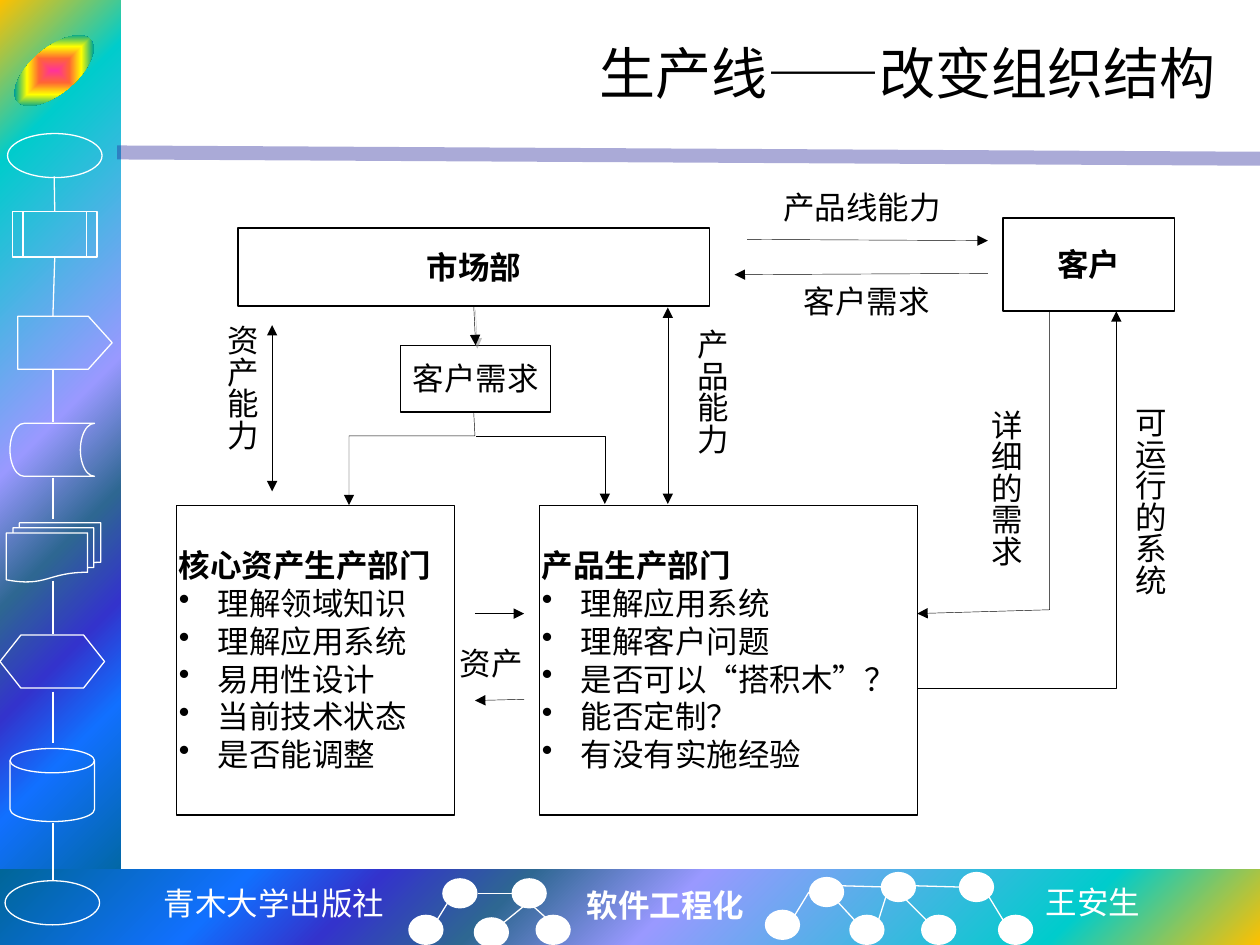
from pptx import Presentation
from pptx import util as u
from pptx.dml.color import RGBColor
from pptx.enum import shapes, text
from pptx.oxml import parse_xml
from pptx.oxml.ns import nsdecls, qn

SHAPE, ALIGN = shapes.MSO_SHAPE, text.PP_ALIGN

THEME = {
    "black": "000000", "white": "FFFFFF", "rule": "262699", "shadow": "808080",
    "serif": "Times New Roman", "sans": "Calibri", "mono": "Noto Sans Mono",
    "cjk": "Noto Sans CJK SC", "title": 32, "body": 18,
    "outline": 0.75, "arrow": 0.25, "rule_width": 8,
    "band": [(0, "FFC000"), (16, "00CCCC"), (47, "9999FF"), (60, "2E6792"),
             (71, "3333CC"), (81, "1170FF"), (100, "006699")],
    "emblem": [(0, "FF3399"), (25, "FF6633"), (50, "FFFF00"), (75, "01A78F"), (100, "3366FF")],
}
TIGHT = (0.02, 0, 0.02, 0.01)
LOOSE = (0.1, 0.05, 0.1, 0.05)

# Frame: gradient bands as place, focus (left, top, right, bottom)
BANDS = [((0, 0, 0.96, 7.09), (0, 0, 100, 100)), ((0, 6.9, 10, 0.6), (100, 100, 0, 0))]
FOOTER = [
    ("青木大学出版社", (1.19, 6.97, 1.97, 0.4), {"font": "mono", "align": ALIGN.CENTER}),
    ("软件工程化", (4.56, 6.98, 1.46, 0.4), {"bold": True}),
    ("王安生", (8.2, 6.96, 0.96, 0.4), {"font": "cjk"}),
]
FLOW_SHAPES = {
    "start": (SHAPE.OVAL, (0.06, 1.06, 0.75, 0.35)),
    "process": (SHAPE.FLOWCHART_PREDEFINED_PROCESS, (0.1, 1.68, 0.67, 0.36)),
    "signal": (SHAPE.PENTAGON, (0.14, 2.51, 0.75, 0.42)),
    "storage": (SHAPE.FLOWCHART_STORED_DATA, (0.08, 3.36, 0.67, 0.42)),
    "documents": (SHAPE.FLOWCHART_MULTIDOCUMENT, (0.05, 4.15, 0.75, 0.47)),
    "preparation": (SHAPE.FLOWCHART_PREPARATION, (0, 5.04, 0.83, 0.42)),
    "disk": (SHAPE.FLOWCHART_MAGNETIC_DISK, (0.08, 5.94, 0.67, 0.58)),
    "end": (SHAPE.OVAL, (0.04, 6.99, 0.75, 0.35)),
}
FLOW_X = 0.42
FLOW_GAPS = [(2.93, 3.35), (3.79, 4.12), (4.61, 5.03), (5.49, 5.9), (6.53, 6.99)]
NODE_SIZE = (0.28, 0.24)
NODES = [(3.24, 7.26), (3.51, 6.97), (3.76, 7.28), (4.06, 6.97), (4.25, 7.26), (6.07, 7.22),
         (6.42, 6.96), (6.74, 7.26), (6.99, 6.92), (7.31, 7.26), (7.61, 6.92), (7.92, 7.26)]
NODE_LINKS = [
    (3.47, 7.3, 3.55, 7.17), (4, 7.32, 4.16, 7.19), (4.06, 7.09, 3.79, 7.09),
    (4.34, 7.29, 4.24, 7.2), (6.31, 7.26, 6.42, 7.08), (6.78, 7.3, 6.65, 7.16),
    (6.68, 7.03, 7.03, 7.04), (6.97, 7.31, 7.03, 7.12), (7.35, 7.3, 7.15, 7.1),
    (7.26, 7.03, 7.61, 7.04), (7.96, 7.3, 7.85, 7.12),
]

# Diagram
TITLE = ("生产线——改变组织结构", (1.25, 0.17, 8.5, 0.81))
BOXES = {
    "needs": ("客户需求", (3.18, 2.74, 1.19, 0.53), False),
    "market": ("市场部", (1.89, 1.81, 3.74, 0.62), True),
    "customer": ("客户", (7.96, 1.73, 1.36, 0.74), True),
}
DEPARTMENTS = [
    ("产品生产部门", (4.28, 4.01, 3, 2.46),
     ["理解应用系统", "理解客户问题", "是否可以“搭积木”？", "能否定制？", "有没有实施经验"]),
    ("核心资产生产部门", (1.4, 4.01, 2.21, 2.46),
     ["理解领域知识", "理解应用系统", "易用性设计", "当前技术状态", "是否能调整"]),
]
LABELS = [
    ("资产", (3.63, 5, 0.6, 0.53), ALIGN.JUSTIFY),
    ("产品线能力", (5.73, 1.38, 2.22, 0.53), ALIGN.CENTER),
    ("客户需求", (5.77, 2.13, 2.22, 0.53), ALIGN.CENTER),
]
VERTICAL_LABELS = [
    ("资产能力", (1.56, 2.58, 0.72, 1.32)), ("产品能力", (5.33, 2.61, 0.65, 1.32)),
    ("详细的需求", (7.66, 3.25, 0.65, 1.32)), ("可运行的系统", (8.8, 3.23, 0.65, 1.64)),
]
ONE_WAY = [(7.84, 2.17, 5.83, 2.18), (5.93, 1.9, 7.84, 1.91),
           (3.77, 4.87, 4.16, 4.87), (4.16, 5.55, 3.77, 5.56)]
TWO_WAY = [(2.16, 2.58, 2.16, 3.9), (5.3, 2.44, 5.3, 4)]
BENT_ARROWS = [
    [(3.76, 3.27), (3.77, 3.46), (2.77, 3.46), (2.77, 4.01)],
    [(3.78, 3.46), (4.8, 3.46), (4.8, 4)],
    [(8.33, 2.47), (8.33, 4.84), (7.28, 4.87)],
    [(7.28, 5.46), (8.86, 5.46), (8.86, 2.47)],
]

deck = Presentation()
deck.slide_width, deck.slide_height = u.Inches(10), u.Inches(7.5)
page = deck.slides.add_slide(deck.slide_layouts[6])


def inches(values):
    return [u.Inches(value) for value in values]


def color(name):
    return RGBColor.from_string(THEME[name])


def set_values(target, values):
    for name, value in values.items():
        setattr(target, name, value)


def set_line(item, tone="black", width="outline", ends=()):
    item.line.color.rgb = color(tone)
    item.line.width = u.Pt(THEME[width])
    outline = item.element.spPr.find(qn("a:ln"))
    for end in ends:
        outline.append(parse_xml(f'<a:{end} {nsdecls("a")} type="triangle"/>'))


def add_shape(kind, place, fill=None, tone=None):
    item = page.shapes.add_shape(kind, *inches(place))
    item.shadow.inherit = False
    item.fill.background()
    if fill:
        item.fill.solid()
        item.fill.fore_color.rgb = color(fill)
    if tone:
        set_line(item, tone)
    else:
        item.line.fill.background()
    return item


def set_gradient(item, stops, kind, focus):
    marks = "".join(f'<a:gs pos="{at * 1000}"><a:srgbClr val="{tone}"/></a:gs>' for at, tone in stops)
    sides = " ".join(f'{side}="{value * 1000}"' for side, value in zip("ltrb", focus))
    properties = item.element.spPr
    properties.replace(properties.find(qn("a:noFill")), parse_xml(
        f'<a:gradFill {nsdecls("a")} rotWithShape="1"><a:gsLst>{marks}</a:gsLst>'
        f'<a:path path="{kind}"><a:fillToRect {sides}/></a:path></a:gradFill>'))


def add_line(points, tone="black", width="arrow", ends=()):
    item = page.shapes.add_connector(shapes.MSO_CONNECTOR.STRAIGHT, *inches(points))
    set_line(item, tone, width, ends)
    item.element.spPr.append(parse_xml(f'<a:effectLst {nsdecls("a")}/>'))
    return item


def write(box, lines, align=ALIGN.CENTER, tone="black", size="body", margins=TIGHT,
          wrap=True, anchor=text.MSO_ANCHOR.MIDDLE):
    """Each line is (wording, font, bold, bulleted)."""
    frame = box.text_frame
    sides = ("margin_left", "margin_top", "margin_right", "margin_bottom")
    set_values(frame, {"word_wrap": wrap, "vertical_anchor": anchor, **dict(zip(sides, inches(margins)))})
    for index, (wording, font, bold, bulleted) in enumerate(lines):
        para = frame.add_paragraph() if index else frame.paragraphs[0]
        para.alignment = align
        if bulleted:
            layout = para._p.get_or_add_pPr()
            layout.set("marL", str(u.Inches(0.31)))
            layout.set("indent", str(u.Inches(-0.31)))
            layout.append(parse_xml(f'<a:buChar {nsdecls("a")} char="•"/>'))
        span = para.add_run()
        span.text = wording
        set_values(span.font, {"name": THEME[font], "size": u.Pt(THEME[size]), "bold": bold})
        span.font.color.rgb = color(tone)
        span._r.get_or_add_rPr().append(parse_xml(f'<a:ea {nsdecls("a")} typeface="{THEME["cjk"]}"/>'))


def add_label(wording, place, font="serif", bold=False, **options):
    box = page.shapes.add_textbox(*inches(place))
    write(box, [(wording, font, bold, False)], **options)
    return box


# Gradient bands and title rule
for place, focus in BANDS:
    set_gradient(add_shape(SHAPE.RECTANGLE, place), THEME["band"], "circle", focus)
rule = add_line((0.93, 1.21, 10, 1.26), "rule", "rule_width")
rule.element.spPr.find(".//" + qn("a:srgbClr")).append(
    parse_xml(f'<a:alpha {nsdecls("a")} val="39000"/>'))

# Sidebar flowchart
emblem = add_shape(SHAPE.OVAL, (0.05, 0.38, 0.76, 0.36))
set_gradient(emblem, THEME["emblem"], "shape", (50, 50, 50, 50))
emblem.rotation = -40
flow = {name: add_shape(kind, place, tone="white") for name, (kind, place) in FLOW_SHAPES.items()}
flow["signal"].adjustments[0] = 0.45
for top, bottom in FLOW_GAPS:
    add_line((FLOW_X, top, FLOW_X, bottom), "white", "outline")
add_line((0.43, 1.4, 0.43, 1.68), "white", "outline").end_connect(flow["process"], 0)
add_line((0.43, 2.05, 0.42, 2.51), "white", "outline").begin_connect(flow["process"], 2)

# Footer names and node network
for wording, place, style in FOOTER:
    options = {"align": ALIGN.LEFT, **style}
    label = add_label(wording, place, tone="white", margins=LOOSE, wrap=False,
                      anchor=text.MSO_ANCHOR.TOP, **options)
    label.text_frame.auto_size = text.MSO_AUTO_SIZE.SHAPE_TO_FIT_TEXT
for corner in NODES:
    add_shape(SHAPE.OVAL, corner + NODE_SIZE, fill="white")
for points in NODE_LINKS:
    add_line(points, "white", "outline")

# Title, boxes and departments
add_label(*TITLE, align=ALIGN.RIGHT, size="title", margins=LOOSE)
boxes = {}
for name, (wording, place, bold) in BOXES.items():
    boxes[name] = add_shape(SHAPE.RECTANGLE, place, tone="black")
    write(boxes[name], [(wording, "serif", bold, False)])
for heading, place, duties in DEPARTMENTS:
    lines = [(heading, "serif", True, False)] + [(duty, "sans", False, True) for duty in duties]
    write(add_shape(SHAPE.RECTANGLE, place, tone="black"), lines, align=ALIGN.LEFT)

# Labels
for wording, place, align in LABELS:
    add_label(wording, place, align=align)
for wording, place in VERTICAL_LABELS:
    add_label(wording, place).text_frame._txBody.bodyPr.set("vert", "eaVert")

# Arrows
drop = add_line((3.77, 2.44, 3.78, 2.74), ends=["tailEnd"])
drop.begin_connect(boxes["market"], 2)
drop.end_connect(boxes["needs"], 0)
drop.element.spPr.find(qn("a:effectLst")).append(parse_xml(
    f'<a:outerShdw {nsdecls("a")} dist="{u.Pt(2.2)}" dir="{63 * 60000}"><a:srgbClr '
    f'val="{THEME["shadow"]}"><a:alpha val="50000"/></a:srgbClr></a:outerShdw>'))
for points in ONE_WAY:
    add_line(points, ends=["tailEnd"])
for points in TWO_WAY:
    add_line(points, ends=["headEnd", "tailEnd"])
for points in BENT_ARROWS:
    start, *rest = [inches(point) for point in points]
    builder = page.shapes.build_freeform(*start)
    builder.add_line_segments(rest, close=False)
    bend = builder.convert_to_shape()
    bend.shadow.inherit = False
    bend.fill.background()
    set_line(bend, width="arrow", ends=["tailEnd"])

deck.save("out.pptx")
